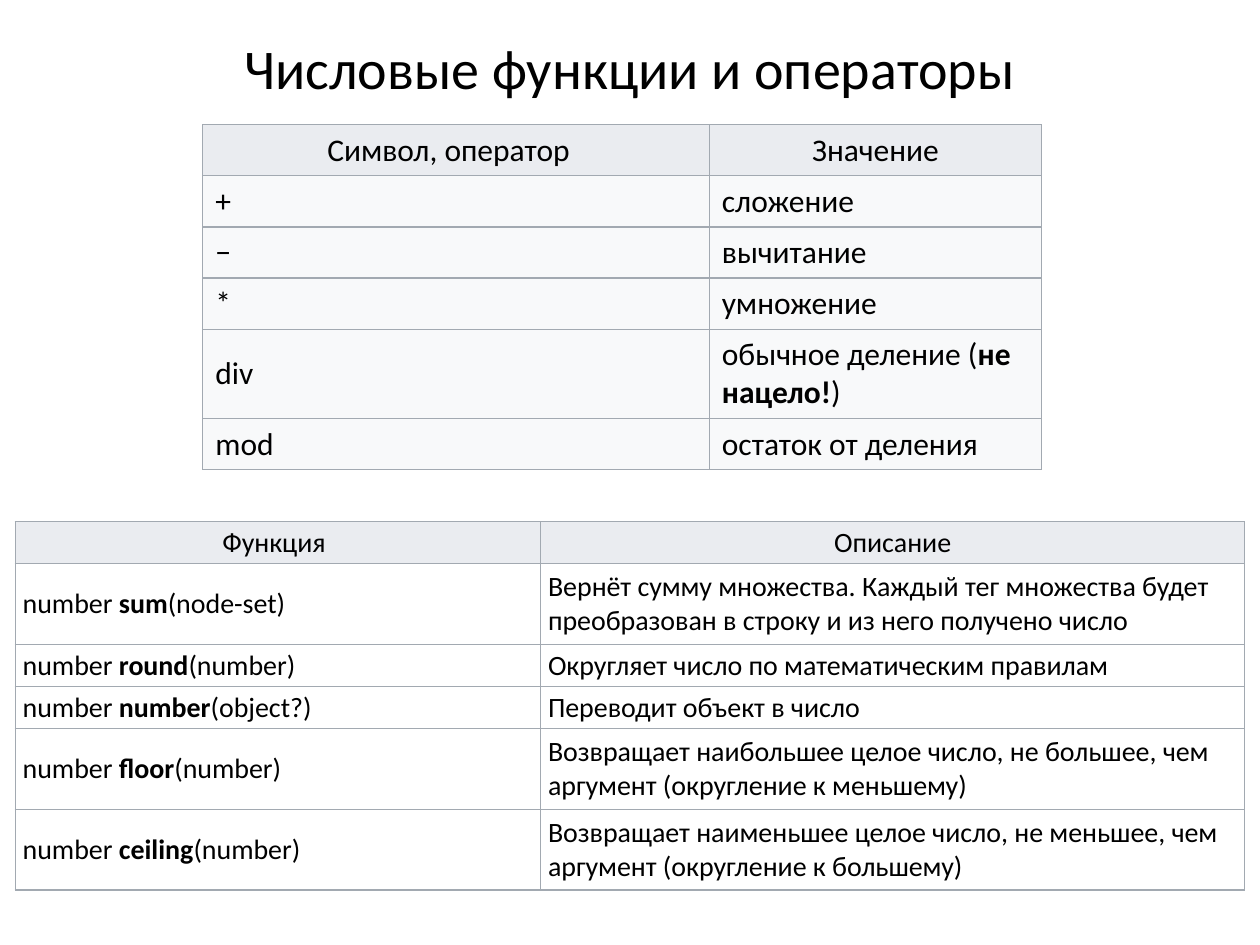
from lxml.etree import SubElement
from pptx import Presentation
from pptx.dml.color import RGBColor
from pptx.enum.text import MSO_ANCHOR, PP_ALIGN
from pptx.oxml.ns import qn
from pptx.util import Inches, Pt

FONT = "Calibri"
COLORS = {"text": "000000", "border": "A2A9B1", "header": "EAECF0", "body": "F8F9FA"}

OPERATORS = [
    ("Символ, оператор", "Значение"),
    ("+", "сложение"),
    ("−", "вычитание"),
    ("*", "умножение"),
    ("div", "обычное деление (**не нацело!**)"),
    ("mod", "остаток от деления"),
]
FUNCTIONS = [
    ("Функция", "Описание"),
    ("number **sum**(node-set)",
     "Вернёт сумму множества. Каждый тег множества будет преобразован в строку "
     "и из него получено число"),
    ("number **round**(number)", "Округляет число по математическим правилам"),
    ("number **number**(object?)", "Переводит объект в число"),
    ("number **floor**(number)",
     "Возвращает наибольшее целое число, не большее, чем аргумент (округление к меньшему)"),
    ("number **ceiling**(number)",
     "Возвращает наименьшее целое число, не меньшее, чем аргумент (округление к большему)"),
]


def write_text(p, text, size, align):
    """Fill a paragraph, setting parts between double asterisks in bold."""
    p.alignment = align
    for i, part in enumerate(text.split("**")):
        r = p.add_run()
        r.text = part
        r.font.name = FONT
        r.font.size = Pt(size)
        r.font.bold = i % 2 == 1
        r.font.color.rgb = RGBColor.from_string(COLORS["text"])


def set_borders(cell):
    """Draw a thin line on all four sides of a cell."""
    tc_pr = cell._tc.get_or_add_tcPr()
    for i, side in enumerate(("a:lnL", "a:lnR", "a:lnT", "a:lnB")):
        ln = tc_pr.makeelement(qn(side), {"w": str(Pt(0.75))})
        fill = SubElement(ln, qn("a:solidFill"))
        SubElement(fill, qn("a:srgbClr"), val=COLORS["border"])
        tc_pr.insert(i, ln)


def set_fill(cell, color):
    """Fill a cell with a colour, or leave it clear."""
    if color:
        cell.fill.solid()
        cell.fill.fore_color.rgb = RGBColor.from_string(color)
    else:
        cell.fill.background()


def set_margins(cell, x, y, right):
    """Set the inner margins of a cell in inches."""
    cell.margin_left, cell.margin_right = Inches(x), Inches(right)
    cell.margin_top = cell.margin_bottom = Inches(y)


def add_grid(s, rows, left, top, widths, heights, size, margins, body):
    """Add a bordered table with a centred header row."""
    x, y, first_right = margins
    table = s.shapes.add_table(
        len(rows), len(widths), Inches(left), Inches(top),
        Inches(sum(widths)), Inches(sum(heights))).table
    table.horz_banding = False
    for column, width in zip(table.columns, widths):
        column.width = Inches(width)
    for i, (texts, height) in enumerate(zip(rows, heights)):
        table.rows[i].height = Inches(height)
        for j, text in enumerate(texts):
            cell = table.cell(i, j)
            cell.vertical_anchor = MSO_ANCHOR.MIDDLE
            set_margins(cell, x, y, first_right if i == j == 0 else x)
            set_fill(cell, body if i else COLORS["header"])
            set_borders(cell)
            write_text(cell.text_frame.paragraphs[0], text, size,
                       PP_ALIGN.LEFT if i else PP_ALIGN.CENTER)


def set_title(s, text):
    """Place and format the slide title."""
    sp = s.shapes.title
    sp.left, sp.top, sp.width, sp.height = map(Inches, (0.5, 0.3, 9, 0.46))
    tf = sp.text_frame
    tf.vertical_anchor = MSO_ANCHOR.MIDDLE
    write_text(tf.paragraphs[0], text, 32, PP_ALIGN.CENTER)


def main():
    """Build and save the slide."""
    prs = Presentation()
    prs.slide_width, prs.slide_height = Inches(10), Inches(7.5)
    s = prs.slides.add_slide(prs.slide_layouts[5])
    set_title(s, "Числовые функции и операторы")
    add_grid(s, OPERATORS, 1.61, 0.99, (4.02, 2.64),
             (0.4, 0.4, 0.4, 0.4, 0.7, 0.4), 18, (0.1, 0.05, 0.22), COLORS["body"])
    add_grid(s, FUNCTIONS, 0.12, 4.14, (4.17, 5.59),
             (0.32, 0.64, 0.34, 0.32, 0.64, 0.64), 16, (0.06, 0.03, 0.12), None)
    prs.save("out.pptx")


if __name__ == "__main__":
    main()
